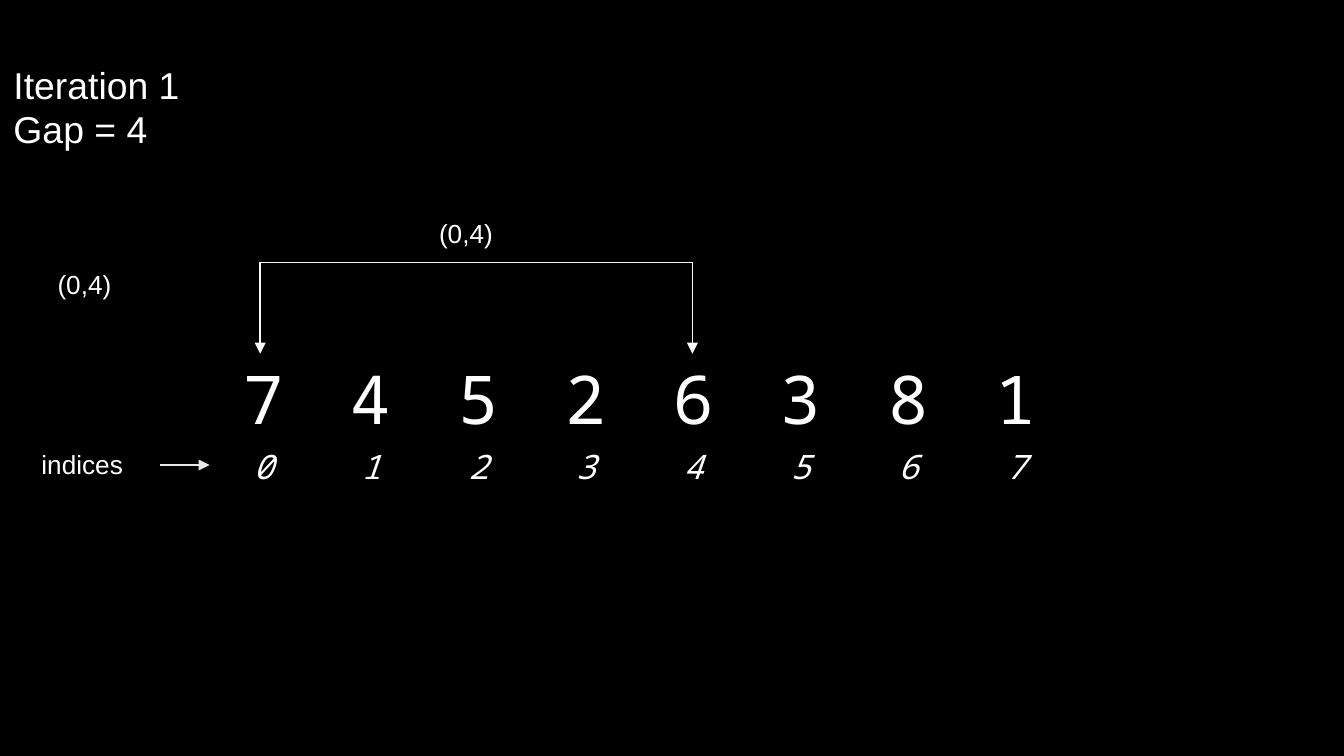
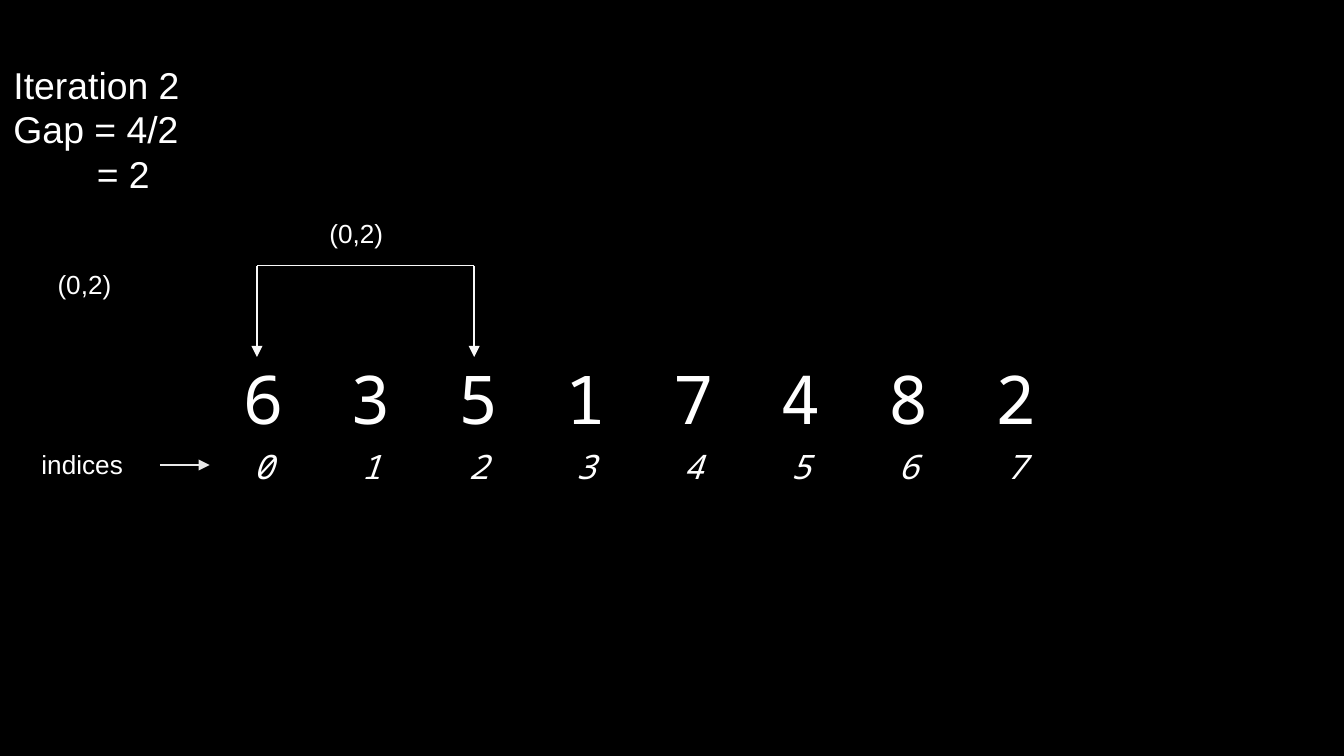
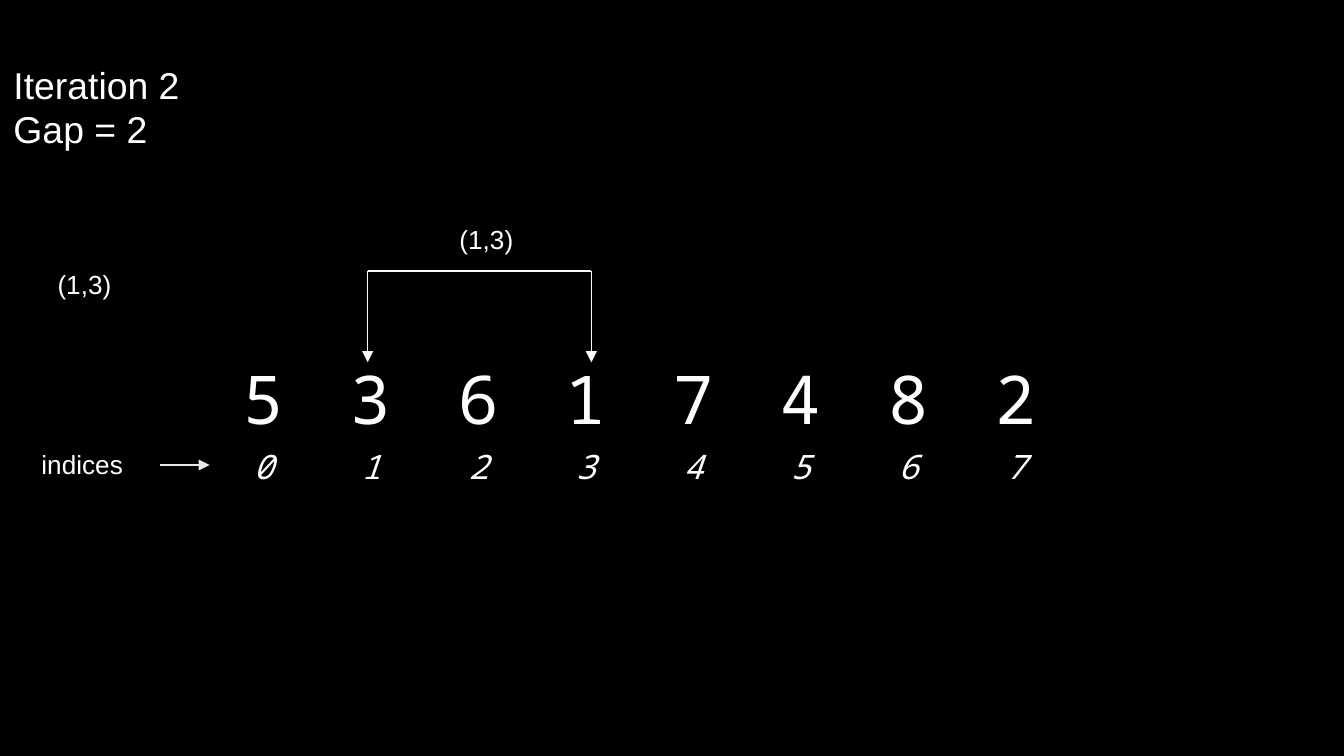
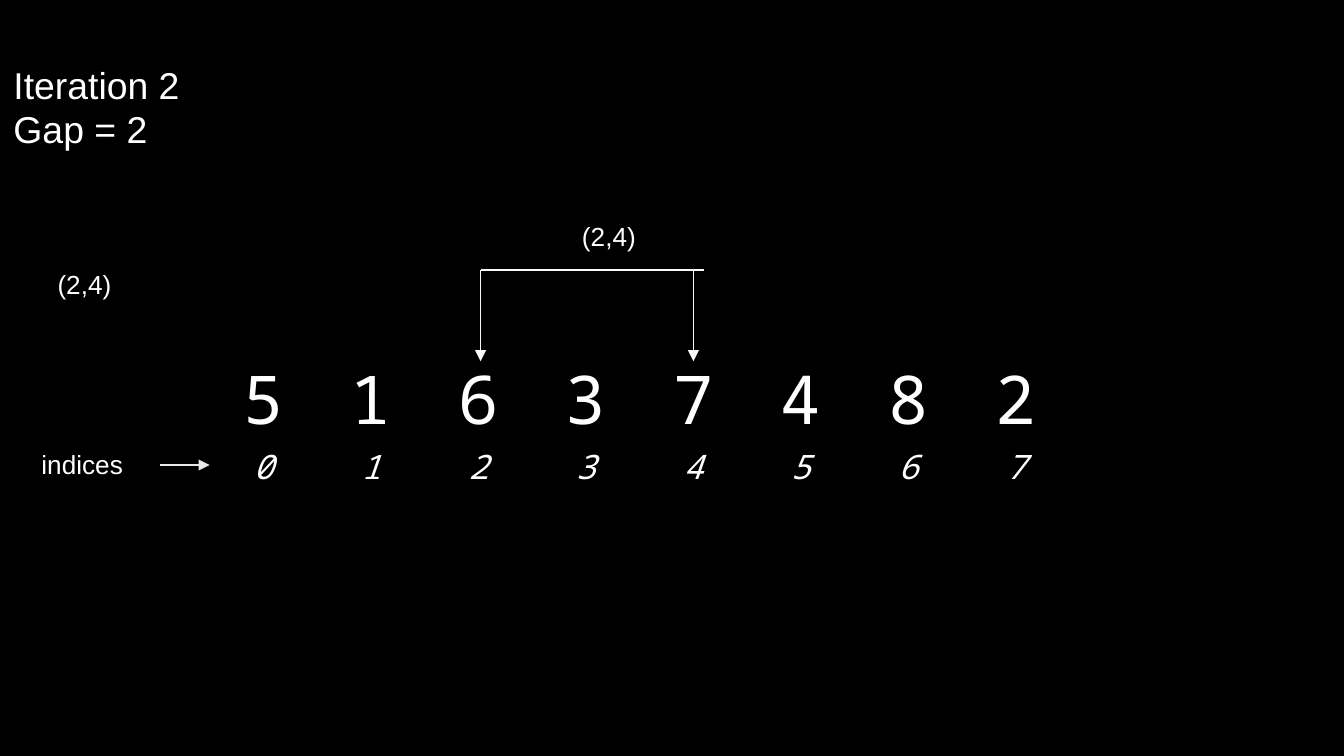
import dataclasses

import pptx
import pptx.dml.color
import pptx.enum.shapes
import pptx.enum.text
import pptx.oxml
import pptx.oxml.ns
import pptx.util

Inches = pptx.util.Inches
Pt = pptx.util.Pt
ANCHOR = pptx.enum.text.MSO_ANCHOR
ALIGN = pptx.enum.text.PP_ALIGN
FIT = pptx.enum.text.MSO_AUTO_SIZE

COLORS = {"background": "000000", "text": "FFFFFF", "pointer": "E9E9E9", "bracket": "F9F9F9"}
FONTS = {"label": "Arial", "digits": "Noto Sans Mono"}
TITLE_ONLY = 5
NO_GRID_STYLE = "{2D5ABB26-0587-4C30-8999-92F81FD0307C}"

# The array is a grid of square cells; everything above it is placed in cells.
CELL = 0.8
ARRAY_LEFT, ARRAY_TOP = 1.56, 2.52
INDEX_TOP, INDEX_HEIGHT = 3.2, 0.5
PAIR_WIDTH, LABEL_HEIGHT = 0.75, 0.34
LEG_ROWS = 0.85
RESULT_COLUMN = 0.62


@dataclasses.dataclass
class Bracket:
    """Columns count from the array's left edge, rows upward from its top."""
    first: float
    second: float
    bar_end: float
    row: float
    label_column: float
    label_row: float


@dataclasses.dataclass
class Step:
    title: list
    title_height: float
    values: str
    pair: str
    bracket: Bracket
    result: str = ""


STEPS = [
    Step(["Iteration 1", "Gap = 4"], 0.77, "74526381", "(0,4)",
         Bracket(0.47, 4.49, 4.49, 0.71, 2.01, 1.19)),
    Step(["Iteration 2", "Gap = 4/2"], 1.11, "63517482", "(0,2)",
         Bracket(0.44, 2.46, 2.46, 0.68, 0.99, 1.19), result="= 2"),
    Step(["Iteration 2", "Gap = 2"], 1.11, "53617482", "(1,3)",
         Bracket(1.47, 3.55, 3.55, 0.63, 2.2, 1.13)),
    Step(["Iteration 2", "Gap = 2"], 1.11, "51637482", "(2,4)",
         Bracket(2.52, 4.5, 4.6, 0.64, 3.34, 1.16)),
]


def color(name):
    return pptx.dml.color.RGBColor.from_string(COLORS[name])


def column_x(column):
    return ARRAY_LEFT + column * CELL


def row_y(row):
    return ARRAY_TOP - row * CELL


def style_text(text_frame, font, size, align, italic=None):
    for para in text_frame.paragraphs:
        para.alignment = align
        for span in para.runs:
            span.font.name = FONTS[font]
            span.font.size = Pt(size)
            span.font.italic = italic
            span.font.color.rgb = color("text")


def fit_label(text_frame, size):
    """Shared set-up of the title and the labels: left, from the top, growing."""
    text_frame.vertical_anchor = ANCHOR.TOP
    text_frame.margin_left = text_frame.margin_right = Inches(0.1)
    text_frame.margin_top = text_frame.margin_bottom = Inches(0.05)
    text_frame.word_wrap = True
    text_frame.auto_size = FIT.SHAPE_TO_FIT_TEXT
    style_text(text_frame, "label", size, ALIGN.LEFT)


def add_title(page, step):
    """Fill the title; a result line is indented to stand under the equals sign."""
    title = page.shapes.title
    title.left, title.top = Inches(0), Inches(0.41)
    title.width, title.height = Inches(2.01), Inches(step.title_height)
    frame = title.text_frame
    frame.text = "\n".join(step.title + [step.result] if step.result else step.title)
    fit_label(frame, 20)
    if step.result:
        properties = frame.paragraphs[-1]._p.get_or_add_pPr()
        properties.set("marL", str(Inches(RESULT_COLUMN)))


def add_label(page, text, left, top, width):
    box = page.shapes.add_textbox(Inches(left), Inches(top), Inches(width), Inches(LABEL_HEIGHT))
    box.text_frame.text = text
    fit_label(box.text_frame, 14)
    return box


def add_line(page, start, end, color_name, arrow=False):
    line = page.shapes.add_connector(
        pptx.enum.shapes.MSO_CONNECTOR.STRAIGHT, *map(Inches, start + end))
    line.line.color.rgb = color(color_name)
    line.line.width = Pt(0.75)
    if arrow:
        tail = pptx.oxml.parse_xml(
            f'<a:tailEnd {pptx.oxml.ns.nsdecls("a")} type="triangle"/>')
        line.line._get_or_add_ln().append(tail)
    effects = pptx.oxml.parse_xml(f'<a:effectLst {pptx.oxml.ns.nsdecls("a")}/>')
    line._element.spPr.append(effects)
    return line


def clear_borders(cell):
    properties = cell._tc.get_or_add_tcPr()
    for position, side in enumerate(("lnL", "lnR", "lnT", "lnB")):
        border = pptx.oxml.parse_xml(
            f'<a:{side} {pptx.oxml.ns.nsdecls("a")}><a:noFill/></a:{side}>')
        properties.insert(position, border)


def add_digit_row(page, digits, top, height, size, italic=None):
    """One table row with a digit in each column of the array grid."""
    table = page.shapes.add_table(
        1, len(digits), Inches(ARRAY_LEFT), Inches(top),
        Inches(CELL * len(digits)), Inches(height)).table
    table.first_row = table.horz_banding = False
    table._tbl.tblPr.find(pptx.oxml.ns.qn("a:tableStyleId")).text = NO_GRID_STYLE
    for cell, digit in zip(table.rows[0].cells, digits):
        cell.text_frame.text = digit
        cell.vertical_anchor = ANCHOR.MIDDLE
        cell.margin_left = cell.margin_right = Inches(0.1)
        cell.margin_top = cell.margin_bottom = Inches(0.1)
        cell.fill.background()
        clear_borders(cell)
        style_text(cell.text_frame, "digits", size, ALIGN.CENTER, italic)


def add_array(page, values):
    """The values, their indices below, and the pointer to the index row."""
    indices = "".join(str(index) for index in range(len(values)))
    add_digit_row(page, values, ARRAY_TOP, CELL, 36)
    add_digit_row(page, indices, INDEX_TOP, INDEX_HEIGHT, 18, italic=True)
    left, top, width = 0.21, 3.29, 0.98
    middle = top + LABEL_HEIGHT / 2
    label = add_label(page, "indices", left, top, width)
    pointer = add_line(page, (left + width, middle), (ARRAY_LEFT, middle), "pointer", arrow=True)
    pointer.begin_connect(label, 3)


def add_bracket(page, pair, bracket):
    """Two arrows down to the compared values, joined by a labelled bar."""
    bar_y = row_y(bracket.row)
    for column in (bracket.second, bracket.first):
        x = column_x(column)
        add_line(page, (x, bar_y), (x, bar_y + LEG_ROWS * CELL), "bracket", arrow=True)
    add_line(page, (column_x(bracket.first), bar_y), (column_x(bracket.bar_end), bar_y), "bracket")
    add_label(page, pair, column_x(bracket.label_column), row_y(bracket.label_row), PAIR_WIDTH)


def add_step(deck, step):
    page = deck.slides.add_slide(deck.slide_layouts[TITLE_ONLY])
    add_title(page, step)
    add_array(page, step.values)
    add_label(page, step.pair, 0.33, 1.95, PAIR_WIDTH)
    add_bracket(page, step.pair, step.bracket)


def main():
    deck = pptx.Presentation()
    deck.slide_width, deck.slide_height = Inches(10), Inches(10 * 9 / 16)
    background = deck.slide_master.background.fill
    background.solid()
    background.fore_color.rgb = color("background")
    for step in STEPS:
        add_step(deck, step)
    deck.save("out.pptx")


if __name__ == "__main__":
    main()
